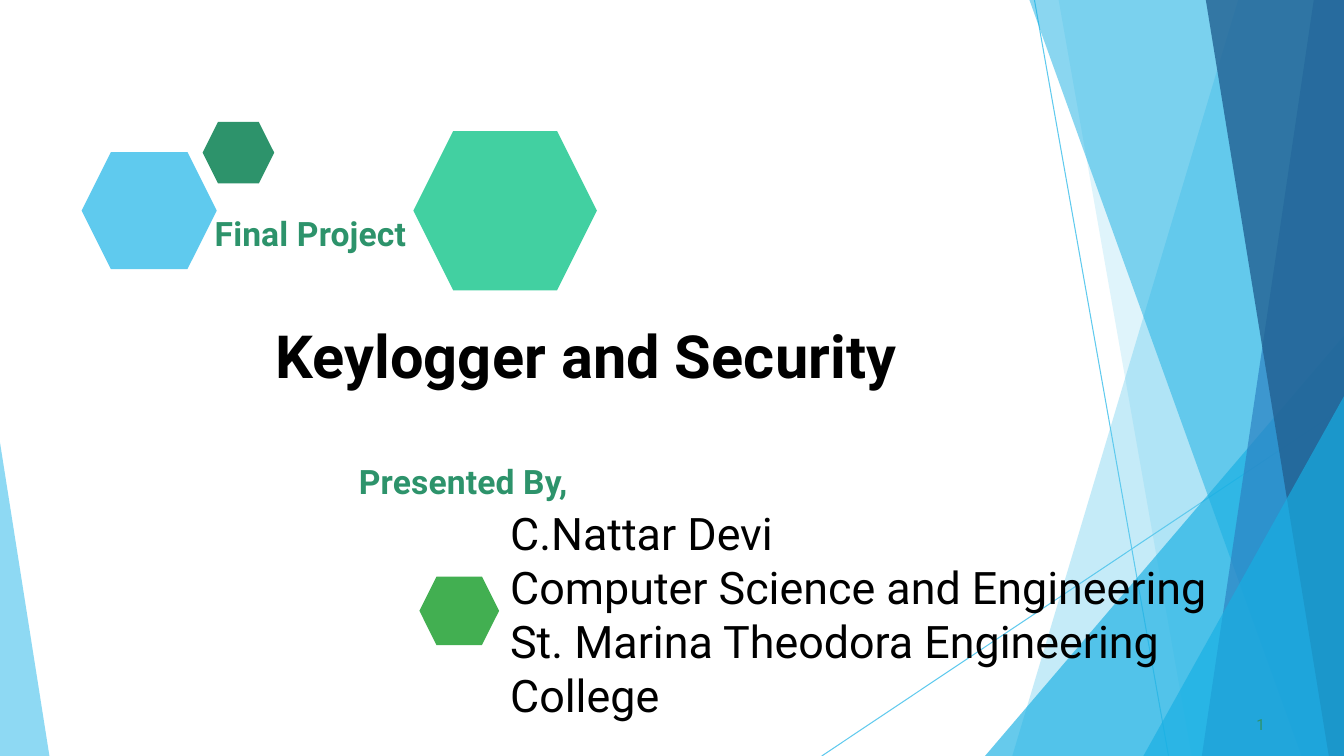
import pptx
import pptx.util
import pptx.dml.color
import pptx.enum.shapes
import pptx.enum.text
import pptx.oxml.ns
import lxml.etree

Inches = pptx.util.Inches
Pt = pptx.util.Pt
RGB = pptx.dml.color.RGBColor
qn = pptx.oxml.ns.qn

WIDE, HIGH = 13.33, 7.5
SKY = RGB(0x5F, 0xCA, 0xEE)
CYAN = RGB(0x17, 0xAF, 0xE3)
BLUE = RGB(0x2D, 0x83, 0xC3)
NAVY = RGB(0x22, 0x61, 0x92)
TEAL = RGB(0x2D, 0x93, 0x6B)
MINT = RGB(0x42, 0xD0, 0xA1)
GREEN = RGB(0x42, 0xAF, 0x51)
BLACK = RGB(0, 0, 0)

LINES = [(10.26, 0, 11.59, HIGH), (WIDE, 4.04, 8.15, HIGH)]


def band(top, foot):
    return [(WIDE, top[1]), top, (foot, HIGH), (WIDE, HIGH)]


def wedge(top, foot):
    return [(WIDE, top), (foot, HIGH), (WIDE, HIGH)]


BANDS = [
    (band((12.28, 0), 10.04), SKY, 36),
    (band((10.5, 0), 11.82), SKY, 20),
    (wedge(3.33, 9.77), CYAN, 66),
    (band((10.21, 0), 12.91), CYAN, 50),
    (band((13.03, 0), 11.92), BLUE, 70),
    (band((11.96, 0), 13.18), NAVY, 80),
    (wedge(3.93, 11.34), CYAN, 66),
    ([(0, 4.39), (0, HIGH), (0.49, HIGH)], SKY, 70),
]

HEXES = [
    (0.81, 1.51, 1.34, 1.16, SKY),
    (2.01, 1.21, 0.71, 0.61, TEAL),
    (4.1, 1.3, 1.82, 1.58, MINT),
    (4.16, 5.72, 0.79, 0.68, GREEN),
]

TITLE = ("C.Nattar Devi\vComputer Science and Engineering\v"
         "St. Marina Theodora Engineering College")
TITLE_AT = (1.55, 5, 11.39, 1.63)

LABELS = [
    ("Final Project", (2.12, 2.1, 2.03, 0.43), 24, TEAL, True, 0.01, 1),
    ("1", (12.42, 7.08, 0.17, 0.21), 11, TEAL, False, 0.04, 0.6),
    ("Keylogger and Security", (2.72, 3.15, 6.78, 0.73), 42.5, BLACK, True, 0.01, 1.3),
    ("Presented By,", (3.55, 4.56, 2.25, 0.42), 24, TEAL, True, 0.01, 1),
]


def paint(shape, color, alpha=100):
    shape.shadow.inherit = False
    shape.fill.solid()
    shape.fill.fore_color.rgb = color
    shape.line.fill.background()
    if alpha < 100:
        tint = shape.element.spPr.find(qn("a:solidFill"))[0]
        lxml.etree.SubElement(tint, qn("a:alpha")).set("val", str(alpha * 1000))


def write(shape, text, box, size, color, bold, indent, before, track=0):
    shape.left, shape.top, shape.width, shape.height = map(Inches, box)
    frame = shape.text_frame
    frame.text = text
    frame.word_wrap = True
    frame.auto_size = pptx.enum.text.MSO_AUTO_SIZE.NONE
    frame.vertical_anchor = pptx.enum.text.MSO_ANCHOR.TOP
    frame.margin_left = frame.margin_right = frame.margin_bottom = 0
    frame.margin_top = Inches(0.02 if before > 1 else 0.01)
    para = frame.paragraphs[0]
    para.alignment = pptx.enum.text.PP_ALIGN.LEFT
    para.line_spacing = 1.0
    para.space_before = Pt(before)
    props = para._p.get_or_add_pPr()
    props.set("marL", str(Inches(indent)))
    props.set("indent", "0")
    for run in para.runs:
        run.font.name = "Roboto"
        run.font.size = Pt(size)
        run.font.bold = bold
        run.font.color.rgb = color
        if track:
            run.font._element.set("spc", str(track))


def main():
    deck = pptx.Presentation()
    deck.slide_width, deck.slide_height = Inches(WIDE), Inches(HIGH)
    slide = deck.slides.add_slide(deck.slide_layouts[5])
    shapes = slide.shapes

    for ends in LINES:
        line = shapes.add_connector(
            pptx.enum.shapes.MSO_CONNECTOR.STRAIGHT, *map(Inches, ends))
        line.line.color.rgb = SKY
        line.line.width = Pt(0.75)
        lxml.etree.SubElement(line.element.spPr, qn("a:effectLst"))

    for points, color, alpha in BANDS:
        spots = [(Inches(x), Inches(y)) for x, y in points]
        pen = shapes.build_freeform(*spots[0])
        pen.add_line_segments(spots[1:], close=True)
        paint(pen.convert_to_shape(), color, alpha)

    for *box, color in HEXES:
        kind = pptx.enum.shapes.MSO_SHAPE.HEXAGON
        paint(shapes.add_shape(kind, *map(Inches, box)), color)

    title = shapes.title
    shapes.element.append(title.element)
    write(title, TITLE, TITLE_AT, 32, BLACK, False, 3.51, 1.3)

    for text, box, *style in LABELS:
        write(shapes.add_textbox(*map(Inches, box)), text, box, *style, track=10)

    deck.save("out.pptx")


if __name__ == "__main__":
    main()
